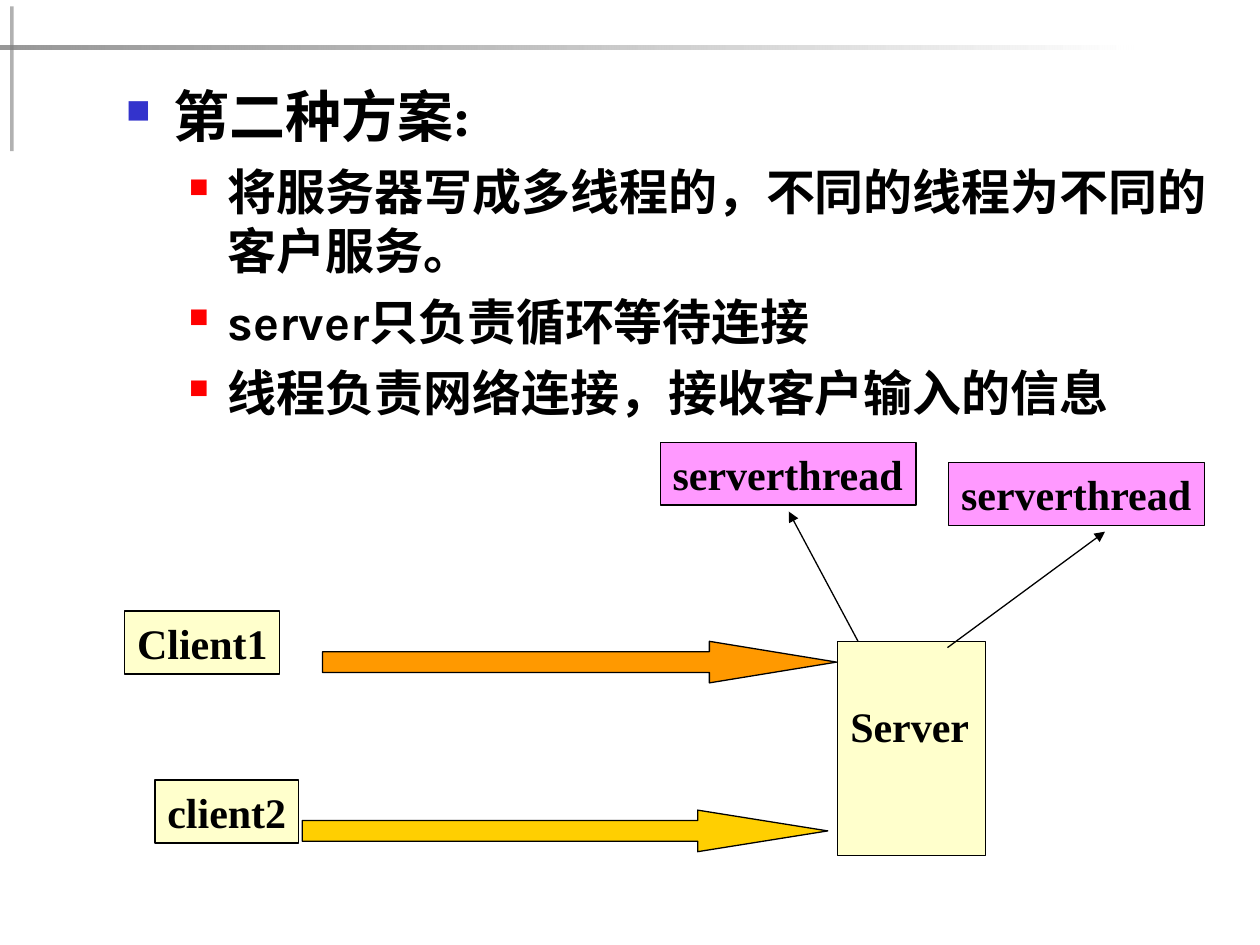
"""Build a slide on a multithreaded server that gives each client its own thread."""
from lxml import etree
from pptx import Presentation
from pptx.dml.color import RGBColor
from pptx.enum.shapes import MSO_CONNECTOR, MSO_SHAPE
from pptx.enum.text import MSO_ANCHOR, PP_ALIGN
from pptx.oxml.ns import qn
from pptx.util import Inches, Pt

RECT, ARROW = MSO_SHAPE.RECTANGLE, MSO_SHAPE.RIGHT_ARROW
LINE = MSO_CONNECTOR.STRAIGHT
TOP, MID, LEFT = MSO_ANCHOR.TOP, MSO_ANCHOR.MIDDLE, PP_ALIGN.LEFT
CELL = Inches(0.1)
THEME = {
    "ink": "000000", "bar": "1C1C1C", "fade": "808080", "white": "FFFFFF",
    "node": "FFFFCC", "thread": "FF99FF", "first": "FF9900", "second": "FFCF01",
    "marks": ("3333CC", "FF0000"), "sizes": (32, 28), "label": 24, "rule": 0.75,
    "body": "Karla", "serif": "Times New Roman",
}


def paint(kind, spot, fill):
    """Add a flat shape at a spot given in grid columns and rows."""
    shape = slide.shapes.add_shape(kind, *[int(n * CELL) for n in spot])
    shape.shadow.inherit = False
    shape.fill.solid()
    shape.fill.fore_color.rgb = RGBColor.from_string(THEME[fill])
    shape.line.color.rgb = RGBColor.from_string(THEME["ink"])
    shape.line.width = Pt(THEME["rule"])
    return shape


def style(para, size, face):
    """Set bold dark type on a paragraph."""
    para.alignment = LEFT
    para.font.size, para.font.name, para.font.bold = Pt(size), face, True
    para.font.color.rgb = RGBColor.from_string(THEME["ink"])


deck = Presentation()
deck.slide_width, deck.slide_height = 100 * CELL, 75 * CELL
slide = deck.slides.add_slide(deck.slide_layouts[6])

post = paint(RECT, (0.8, 0.5, 0.3, 11.5), "bar")
beam = paint(RECT, (0, 3.6, 90, 0.3), "fade")
beam.fill.gradient()
beam.fill.gradient_angle = 0
for stop, name in zip(beam.fill.gradient_stops, ("fade", "white")):
    stop.color.rgb = RGBColor.from_string(THEME[name])
for bar, alpha in ((post, 34), (beam, 81)):
    bar.line.fill.background()
    tint = next(bar.element.spPr.iter(qn("a:srgbClr")))
    etree.SubElement(tint, qn("a:alpha"), val=str(alpha * 1000))

points = (
    (0, "第二种方案:"),
    (1, "将服务器写成多线程的，不同的线程为不同的客户服务。"),
    (1, "server只负责循环等待连接"),
    (1, "线程负责网络连接，接收客户输入的信息"),
)
frame = slide.shapes.add_textbox(9 * CELL, 6 * CELL, int(88.9 * CELL), int(29.1 * CELL)).text_frame
frame.word_wrap = True
for row, (level, text) in enumerate(points):
    para = frame.add_paragraph() if row else frame.paragraphs[0]
    para.text, para.level = text, level
    if row:
        para.space_before = Pt(7)
    props = para._p.get_or_add_pPr()
    left, hang = ((3.8, 3.8), (8.1, 3.1))[level]
    props.set("marL", str(int(left * CELL)))
    props.set("indent", str(int(-hang * CELL)))
    color = etree.SubElement(props, qn("a:buClr"))
    etree.SubElement(color, qn("a:srgbClr"), val=THEME["marks"][level])
    etree.SubElement(props, qn("a:buSzPct"), val=("60000", "55000")[level])
    etree.SubElement(props, qn("a:buChar"), char="■")
    style(para, THEME["sizes"][level], THEME["body"])

nodes = (
    ("Client1", (9.9, 48.5, 12.3, 5), "node"),
    ("client2", (12.3, 61.9, 11.4, 5), "node"),
    ("Server", (66.5, 50.9, 11.7, 17), "node"),
    ("serverthread", (52.4, 35.1, 20.3, 5), "thread"),
    ("serverthread", (75.3, 36.7, 20.3, 5), "thread"),
)
for text, spot, fill in nodes:
    frame = paint(RECT, spot, fill).text_frame
    tall = spot[3] > 5
    frame.word_wrap = tall
    frame.vertical_anchor = TOP if tall else MID
    frame.margin_top = int(4.7 * CELL) if tall else CELL // 2
    frame.paragraphs[0].text = text
    style(frame.paragraphs[0], THEME["label"], THEME["serif"])

for spot, fill, head in (((25.6, 50.9, 40.8, 3.3), "first", 3.06),
                         ((24, 64.3, 41.7, 3.3), "second", 3.13)):
    arrow = paint(ARROW, spot, fill)
    arrow.adjustments[0], arrow.adjustments[1] = 0.5, head

for ends in ((68.1, 50.9, 62.6, 40.6), (75.2, 51.4, 87.7, 42.2)):
    link = slide.shapes.add_connector(LINE, *[int(n * CELL) for n in ends])
    link.line.color.rgb = RGBColor.from_string(THEME["ink"])
    link.line.width = Pt(THEME["rule"])
    etree.SubElement(link.line._get_or_add_ln(), qn("a:tailEnd"), type="triangle")
    etree.SubElement(link.element.spPr, qn("a:effectLst"))

deck.save("out.pptx")
